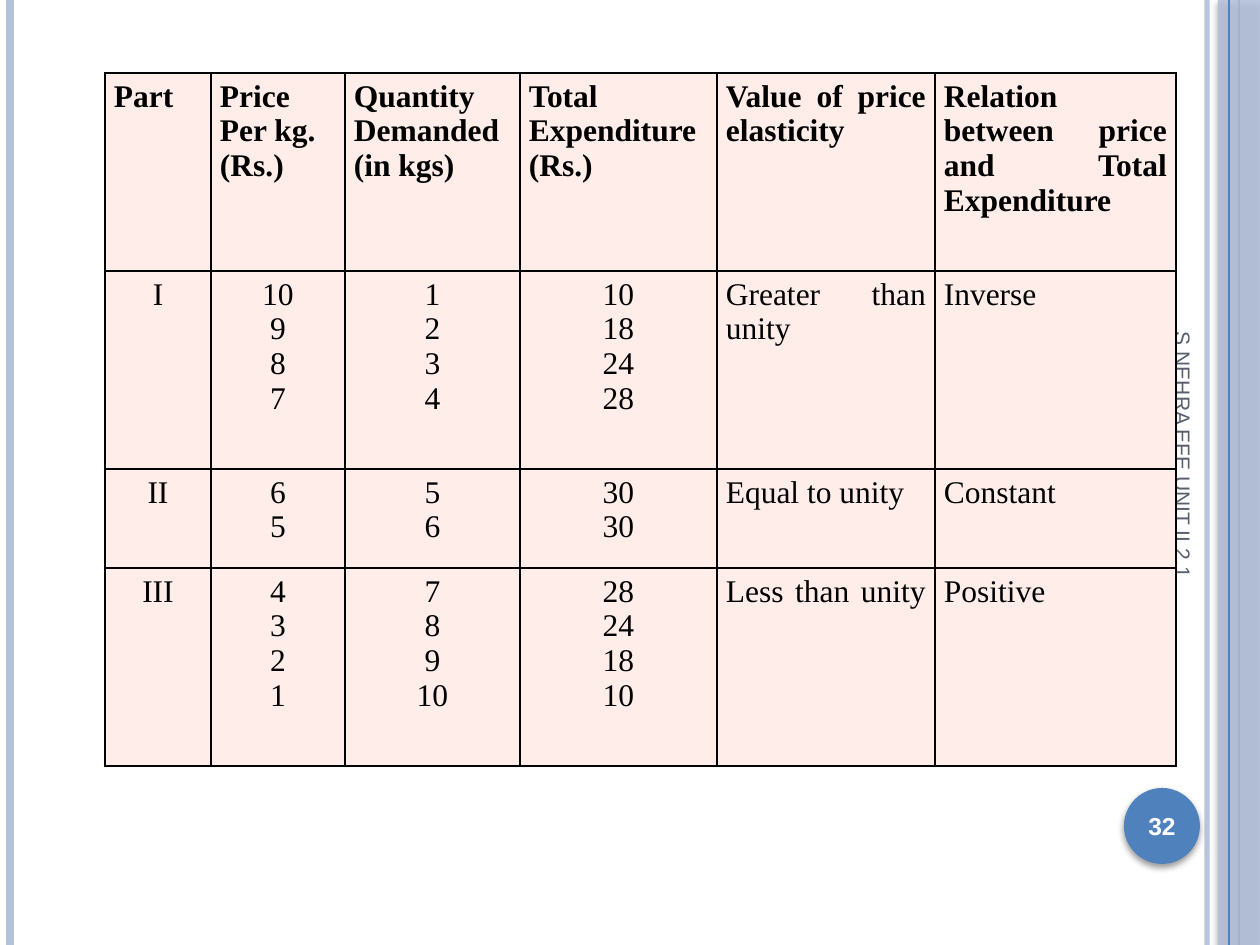
from lxml import etree
from pptx import Presentation
from pptx.dml.color import RGBColor
from pptx.enum import shapes, text
from pptx.oxml import parse_xml
from pptx.oxml.ns import qn
from pptx.util import Emu, Pt

SCALE = 914400 / 126  # EMU per px
NS = 'xmlns:a="http://schemas.openxmlformats.org/drawingml/2006/main"'
COLORS = {
    "band": "B3C1DB", "accent": "4F81BD", "cell": "FEEDE8",
    "footer": "575F6D", "white": "FFFFFF", "black": "000000",
}
LEFT, CENTER, JUSTIFY = (text.PP_ALIGN.LEFT, text.PP_ALIGN.CENTER,
                         text.PP_ALIGN.JUSTIFY)
COLUMNS = [106, 134, 175, 197, 218, 241]
ROWS = [198, 198, 99, 198]
# Each cell is a list of paragraphs
HEADER = [
    ["Part "], ["Price", "Per kg.", "(Rs.)"],
    ["Quantity Demanded ", "(in kgs)"], ["Total Expenditure ", "(Rs.) "],
    ["Value of price elasticity"],
    ["Relation between price and Total Expenditure "],
]
BODY = [
    [["I"], ["10", "9", "8", "7"], ["1", "2", "3", "4"],
     ["10", "18", "24", "28"], ["Greater than unity "], ["Inverse "]],
    [["II"], ["6", "5"], ["5", "6"], ["30", "30"],
     ["Equal to unity "], ["Constant "]],
    [["III"], ["4", "3", "2", "1"], ["7", "8", "9", "10"],
     ["28", "24", "18", "10"], ["Less than unity "], ["Positive "]],
]


def px(n):
    return Emu(round(n * SCALE))


def rgb(name):
    return RGBColor.from_string(COLORS[name])


def set_alpha(fill, percent):
    color = fill._xPr.find(qn("a:solidFill"))[0]
    etree.SubElement(color, qn("a:alpha")).set("val", str(percent * 1000))


def add_rule(slide, x, height, color, width, alpha=None):
    line = slide.shapes.add_connector(
        shapes.MSO_CONNECTOR.STRAIGHT, px(x), 0, px(x), px(height))
    line.line.color.rgb = rgb(color)
    line.line.width = Pt(width)
    if alpha:
        set_alpha(line.line.fill, alpha)
    etree.SubElement(line._element.spPr, qn("a:effectLst"))


def add_shadowed(slide, kind, box, color, alpha=None):
    sp = slide.shapes.add_shape(kind, *map(px, box))
    sp.fill.solid()
    sp.fill.fore_color.rgb = rgb(color)
    if alpha:
        set_alpha(sp.fill, alpha)
    sp.line.fill.background()
    sp._element.spPr.append(parse_xml(
        f'<a:effectLst {NS}><a:outerShdw blurRad="50800" dist="25400" '
        f'dir="5400000" rotWithShape="0"><a:srgbClr val="{COLORS["black"]}">'
        '<a:alpha val="40000"/></a:srgbClr></a:outerShdw></a:effectLst>'))


def write(tf, lines, align, color, **font):
    for i, line in enumerate(lines):
        p = tf.paragraphs[0] if i == 0 else tf.add_paragraph()
        p.alignment = align
        r = p.add_run()
        r.text = line
        r.font.color.rgb = rgb(color)
        for name, value in font.items():
            setattr(r.font, name, value)


def add_label(slide, box, words, align, color, rotation=0, **font):
    label = slide.shapes.add_textbox(*map(px, box))
    label.rotation = rotation
    tf = label.text_frame
    tf.word_wrap = True
    tf.vertical_anchor = text.MSO_ANCHOR.MIDDLE
    write(tf, [words], align, color, name="Arial", **font)


def add_frame(slide, width, height):
    # Vertical rules and the right-hand band
    add_rule(slide, width - 53, height, "band", 3, alpha=93)
    add_rule(slide, 10, height, "band", 4.5)
    add_rule(slide, width - 21, height, "accent", 1.5)
    add_shadowed(slide, shapes.MSO_SHAPE.RECTANGLE,
                 (width - 42, 0, 42, height), "band", alpha=87)
    add_rule(slide, width - 31, height, "accent", 0.75)


def add_page_number(slide, left, top, size, number):
    add_shadowed(slide, shapes.MSO_SHAPE.OVAL, (left, top, size, size),
                 "accent")
    add_label(slide, (left - 4, top + 2, size + 8, size - 4), number,
              CENTER, "white", size=Pt(14), bold=True)


def format_cell(cell):
    tc_pr = cell._tc.get_or_add_tcPr()
    for side in "LRTB":
        tc_pr.append(parse_xml(
            f'<a:ln{side} {NS} w="12192"><a:solidFill>'
            f'<a:srgbClr val="{COLORS["black"]}"/></a:solidFill></a:ln{side}>'))
    cell.fill.solid()
    cell.fill.fore_color.rgb = rgb("cell")
    margins = {"left": 9, "right": 9, "top": 6, "bottom": 6}
    for side, margin in margins.items():
        setattr(cell, f"margin_{side}", px(margin))


def add_elasticity_table(slide, left, top):
    table = slide.shapes.add_table(
        len(ROWS), len(COLUMNS), px(left), px(top),
        px(sum(COLUMNS)), px(sum(ROWS))).table
    for column, width in zip(table.columns, COLUMNS):
        column.width = px(width)
    for row, height in zip(table.rows, ROWS):
        row.height = px(height)
    for i, row in enumerate([HEADER] + BODY):
        for j, lines in enumerate(row):
            cell = table.cell(i, j)
            format_cell(cell)
            # Figures are centred; headings and remarks are justified
            align = CENTER if i > 0 and j < 4 else JUSTIFY
            write(cell.text_frame, lines, align, "black",
                  name="Times New Roman", size=Pt(18), bold=i == 0)


def main():
    width, height = 1260, 945
    prs = Presentation()
    prs.slide_width, prs.slide_height = px(width), px(height)
    slide = prs.slides.add_slide(prs.slide_layouts[6])
    add_frame(slide, width, height)
    add_page_number(slide, 1124, 788, 76, "32")
    # Footer running down the right side
    add_label(slide, (963, 515, 441, 50), "S NEHRA EFE UNIT II 2.1",
              LEFT, "footer", rotation=90, size=Pt(12))
    add_elasticity_table(slide, 105, 73)
    prs.save("out.pptx")


if __name__ == "__main__":
    main()
